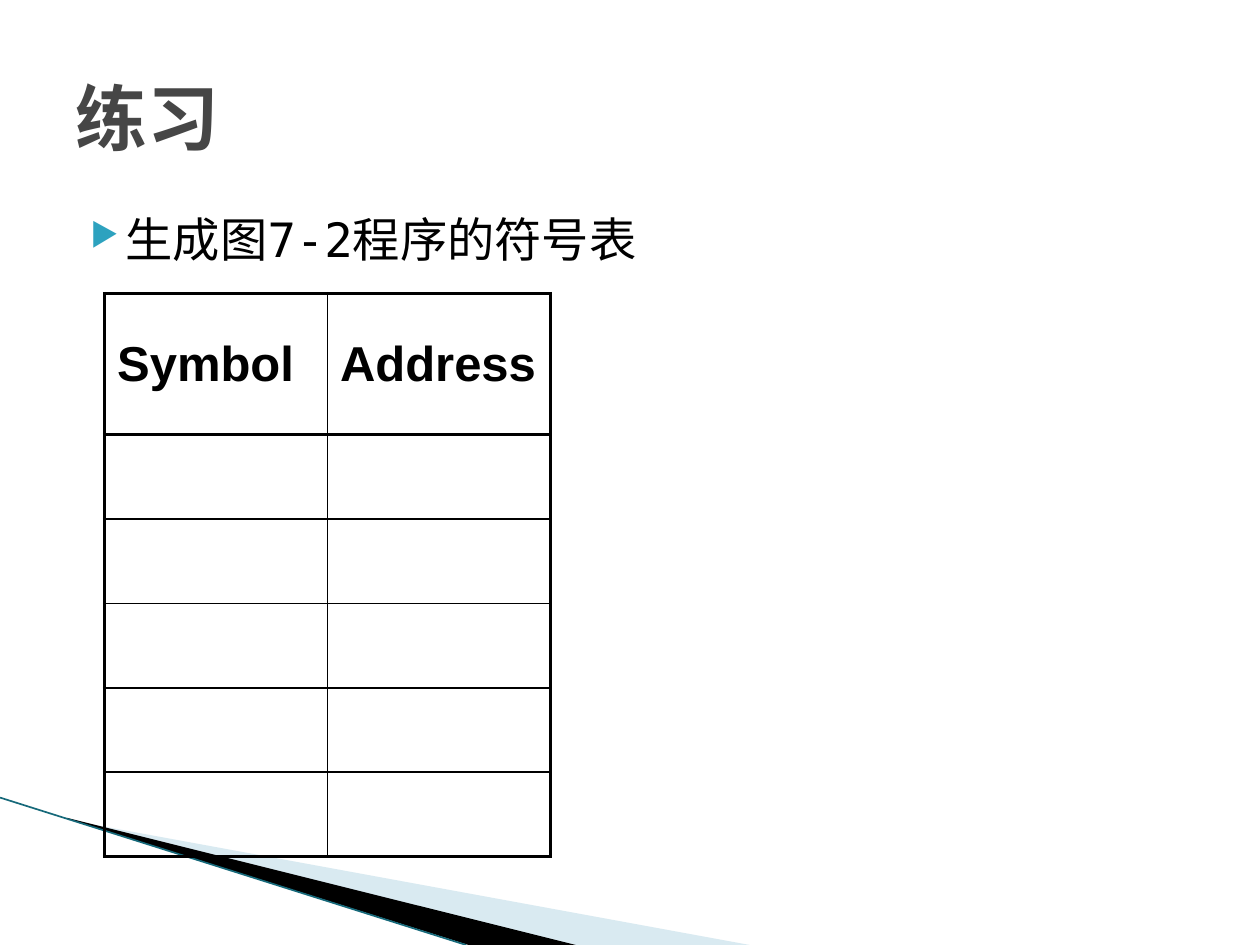
import pptx
import pptx.util
import pptx.dml.color
import pptx.enum.text
import pptx.oxml
import pptx.oxml.ns
from lxml import etree

Inches, Pt = pptx.util.Inches, pptx.util.Pt
qn = pptx.oxml.ns.qn

# Content
TITLE = "练习"
BULLET = "生成图7-2程序的符号表"
HEADERS = ["Symbol", "Address"]
BLANK_ROWS = 5
HEADER_H, ROW_H, COL_W = 1.12, 0.67, 1.77
THICK, THIN = 2.25, 1
# Corner swooshes: points in hundredths of an inch, fill, opacity in percent
SWOOSHES = [
    ([(55, 651), (595, 750), (456, 750), (55, 650)], "A0CBDC", 40),
    ([(53, 649), (457, 750), (372, 750), (54, 650)], "000000", 100),
]


def rgb(value):
    return pptx.dml.color.RGBColor.from_string(value)


def style(p, size, font, color, bold=False):
    for r in p.runs:
        r.font.size, r.font.name, r.font.bold = Pt(size), font, bold
        r.font.color.rgb = rgb(color)


def add_text(slide, box, text, anchor):
    sp = slide.shapes.add_textbox(*[Inches(v) for v in box])
    tf = sp.text_frame
    tf.word_wrap = True
    tf.vertical_anchor = anchor
    tf.text = text
    return tf.paragraphs[0]


def set_border(cell, side, width):
    ln = etree.SubElement(cell._tc.get_or_add_tcPr(), qn("a:ln" + side), w=str(Pt(width)))
    fill = etree.SubElement(ln, qn("a:solidFill"))
    etree.SubElement(fill, qn("a:srgbClr"), val="000000")


prs = pptx.Presentation()
prs.slide_width, prs.slide_height = Inches(10), Inches(7.5)
s = prs.slides.add_slide(prs.slide_layouts[6])
ANCHOR = pptx.enum.text.MSO_ANCHOR

# Corner decoration
for points, color, opacity in SWOOSHES:
    builder = s.shapes.build_freeform(*points[0], scale=Inches(0.01))
    builder.add_line_segments(points[1:], close=True)
    sp = builder.convert_to_shape()
    sp.shadow.inherit = False
    sp.fill.solid()
    sp.fill.fore_color.rgb = rgb(color)
    sp.line.fill.background()
    if opacity < 100:
        clr = sp._element.spPr.find(".//" + qn("a:srgbClr"))
        etree.SubElement(clr, qn("a:alpha"), val=str(opacity * 1000))

edge = s.shapes.add_connector(1, 0, Inches(6.33), Inches(3.7), Inches(7.5))
edge.line.color.rgb = rgb("16697A")
edge.line.width = Pt(0.95)
etree.SubElement(edge._element.spPr, qn("a:effectLst"))

# Bullet line
p = add_text(s, (0.5, 1.62, 9, 4.95), BULLET, ANCHOR.TOP)
p.space_before = Pt(4)
style(p, 27, "DejaVu Sans Mono", "000000")
pPr = p._p.get_or_add_pPr()
pPr.set("marL", str(Inches(0.4)))
pPr.set("indent", str(Inches(-0.28)))
bullet_color = etree.SubElement(pPr, qn("a:buClr"))
etree.SubElement(bullet_color, qn("a:srgbClr"), val="2DA2BF")
etree.SubElement(pPr, qn("a:buSzPct"), val="68000")
etree.SubElement(pPr, qn("a:buChar"), char="▶")

# Title
p = add_text(s, (0.5, 0.3, 9, 1.25), TITLE, ANCHOR.MIDDLE)
style(p, 41, "Arial", "464646", True)

# Symbol table
rows, cols = BLANK_ROWS + 1, len(HEADERS)
table = s.shapes.add_table(rows, cols, Inches(0.83), Inches(2.33), Inches(COL_W * cols),
                           Inches(HEADER_H + ROW_H * BLANK_ROWS)).table
table.first_row = table.horz_banding = False
for col in table.columns:
    col.width = Inches(COL_W)
for i, row in enumerate(table.rows):
    row.height = Inches(ROW_H if i else HEADER_H)
    for j, cell in enumerate(row.cells):
        heavy = {"L": j == 0, "R": j == cols - 1, "T": i < 2, "B": i in (0, rows - 1)}
        for side, is_heavy in heavy.items():
            set_border(cell, side, THICK if is_heavy else THIN)
        cell.fill.background()
        cell.vertical_anchor = ANCHOR.MIDDLE
        if i == 0:
            cell.text_frame.text = HEADERS[j]
            p = cell.text_frame.paragraphs[0]
            style(p, 28, "Arial", "000000", True)
            before = etree.SubElement(p._p.get_or_add_pPr(), qn("a:spcBef"))
            etree.SubElement(before, qn("a:spcPct"), val="20000")

prs.save("out.pptx")
